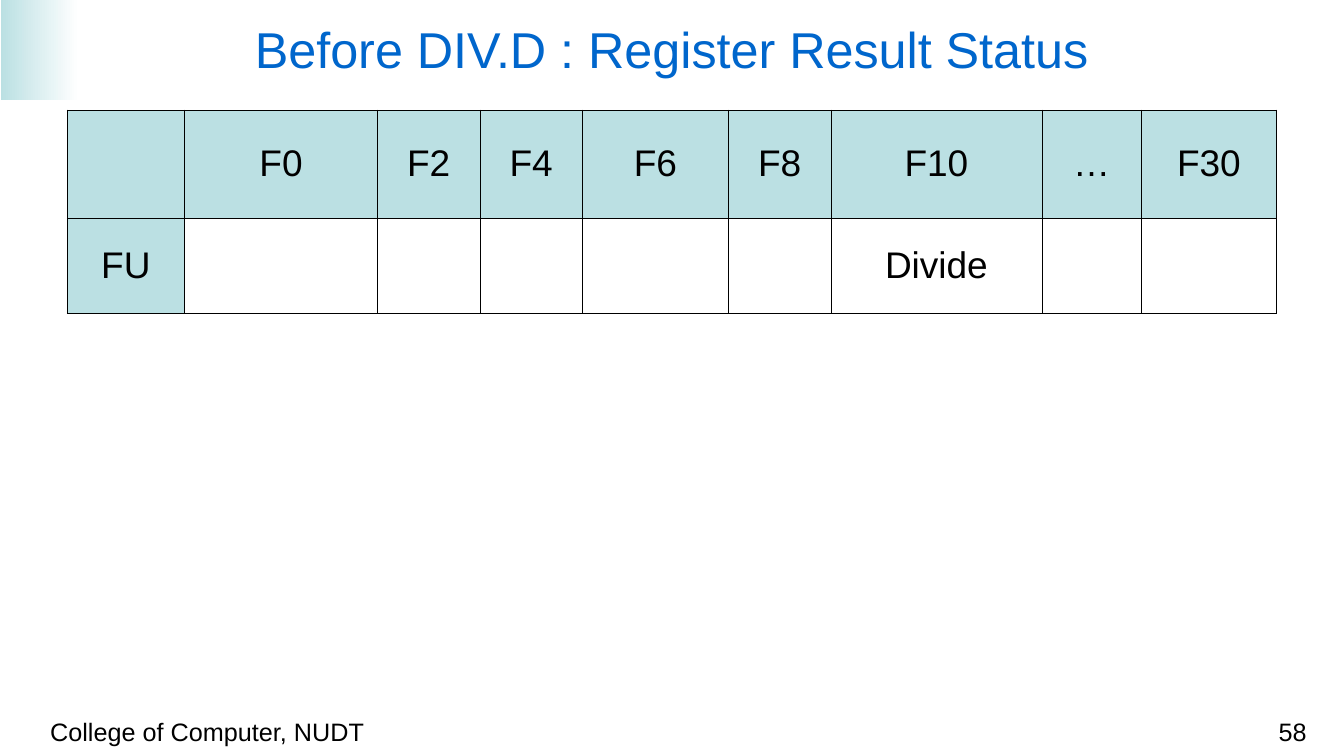
from lxml import etree
from pptx import Presentation
from pptx.dml.color import RGBColor
from pptx.enum.shapes import MSO_SHAPE
from pptx.enum.text import MSO_ANCHOR, PP_ALIGN
from pptx.oxml.ns import qn
from pptx.util import Inches, Pt

RECTANGLE = MSO_SHAPE.RECTANGLE
LEFT, CENTER, RIGHT = PP_ALIGN.LEFT, PP_ALIGN.CENTER, PP_ALIGN.RIGHT
TOP, MIDDLE = MSO_ANCHOR.TOP, MSO_ANCHOR.MIDDLE

BLACK = RGBColor(0x00, 0x00, 0x00)
WHITE = RGBColor(0xFF, 0xFF, 0xFF)
TEAL = RGBColor(0xBB, 0xE0, 0xE3)
BLUE = RGBColor(0x00, 0x66, 0xCC)

FONT = "Arial"
BORDER_WIDTH = Pt(0.45)

COLUMN_WIDTHS = [1.1, 1.81, 0.96, 0.96, 1.37, 0.96, 1.98, 0.93, 1.27]
ROW_HEIGHTS = [1.02, 0.89]
REGISTER_STATUS = [
    ["", "F0", "F2", "F4", "F6", "F8", "F10", "…", "F30"],
    ["FU", "", "", "", "", "", "Divide", "", ""],
]


def write_text(text_frame, text, size, color=BLACK, align=LEFT):
    paragraph = text_frame.paragraphs[0]
    paragraph.text = text
    paragraph.alignment = align
    paragraph.font.name = FONT
    paragraph.font.size = Pt(size)
    paragraph.font.color.rgb = color


def add_text(slide, left, top, width, height, text, anchor=TOP, **text_format):
    box = slide.shapes.add_textbox(
        Inches(left), Inches(top), Inches(width), Inches(height))
    frame = box.text_frame
    frame.word_wrap = True
    frame.vertical_anchor = anchor
    frame.margin_left = frame.margin_right = Inches(0.12)
    frame.margin_top = frame.margin_bottom = Inches(0.06)
    write_text(frame, text, **text_format)


def add_corner_gradient(slide):
    corner = slide.shapes.add_shape(
        RECTANGLE, Inches(0.01), Inches(0), Inches(0.73), Inches(0.94))
    corner.shadow.inherit = False
    corner.line.fill.background()
    corner.fill.gradient()
    corner.fill.gradient_angle = 0
    for stop, color in zip(corner.fill.gradient_stops, (TEAL, WHITE)):
        stop.color.rgb = color


def add_borders(cell):
    properties = cell._tc.get_or_add_tcPr()
    for side in ("a:lnL", "a:lnR", "a:lnT", "a:lnB"):
        line = etree.SubElement(properties, qn(side), w=str(int(BORDER_WIDTH)))
        fill = etree.SubElement(line, qn("a:solidFill"))
        etree.SubElement(fill, qn("a:srgbClr"), val=str(BLACK))


def add_status_table(slide, left, top):
    frame = slide.shapes.add_table(
        len(ROW_HEIGHTS), len(COLUMN_WIDTHS), Inches(left), Inches(top),
        Inches(sum(COLUMN_WIDTHS)), Inches(sum(ROW_HEIGHTS)))
    table = frame.table
    table.first_row = table.horz_banding = False
    for column, width in zip(table.columns, COLUMN_WIDTHS):
        column.width = Inches(width)
    for row, height in zip(table.rows, ROW_HEIGHTS):
        row.height = Inches(height)

    for row_index, row_texts in enumerate(REGISTER_STATUS):
        for column_index, text in enumerate(row_texts):
            cell = table.cell(row_index, column_index)
            cell.vertical_anchor = MIDDLE
            write_text(cell.text_frame, text, size=25, align=CENTER)
            add_borders(cell)
            # Header row and label column are tinted
            if row_index == 0 or column_index == 0:
                cell.fill.solid()
                cell.fill.fore_color.rgb = TEAL
            else:
                cell.fill.background()


def main():
    presentation = Presentation()
    presentation.slide_width = Inches(12.6)
    presentation.slide_height = Inches(7.09)
    slide = presentation.slides.add_slide(presentation.slide_layouts[6])

    # Corner decoration and footer
    add_corner_gradient(slide)
    add_text(slide, 0.35, 6.66, 4.66, 0.28, "College of Computer, NUDT", size=17)
    add_text(slide, 11.06, 6.66, 1.31, 0.28, "58", size=17, align=RIGHT)

    # Title
    add_text(slide, 0.25, 0.12, 12.1, 0.67,
             "Before DIV.D : Register Result Status",
             anchor=MIDDLE, size=34, color=BLUE, align=CENTER)

    # Register result status
    add_status_table(slide, 0.63, 1.03)

    presentation.save("out.pptx")


if __name__ == "__main__":
    main()
